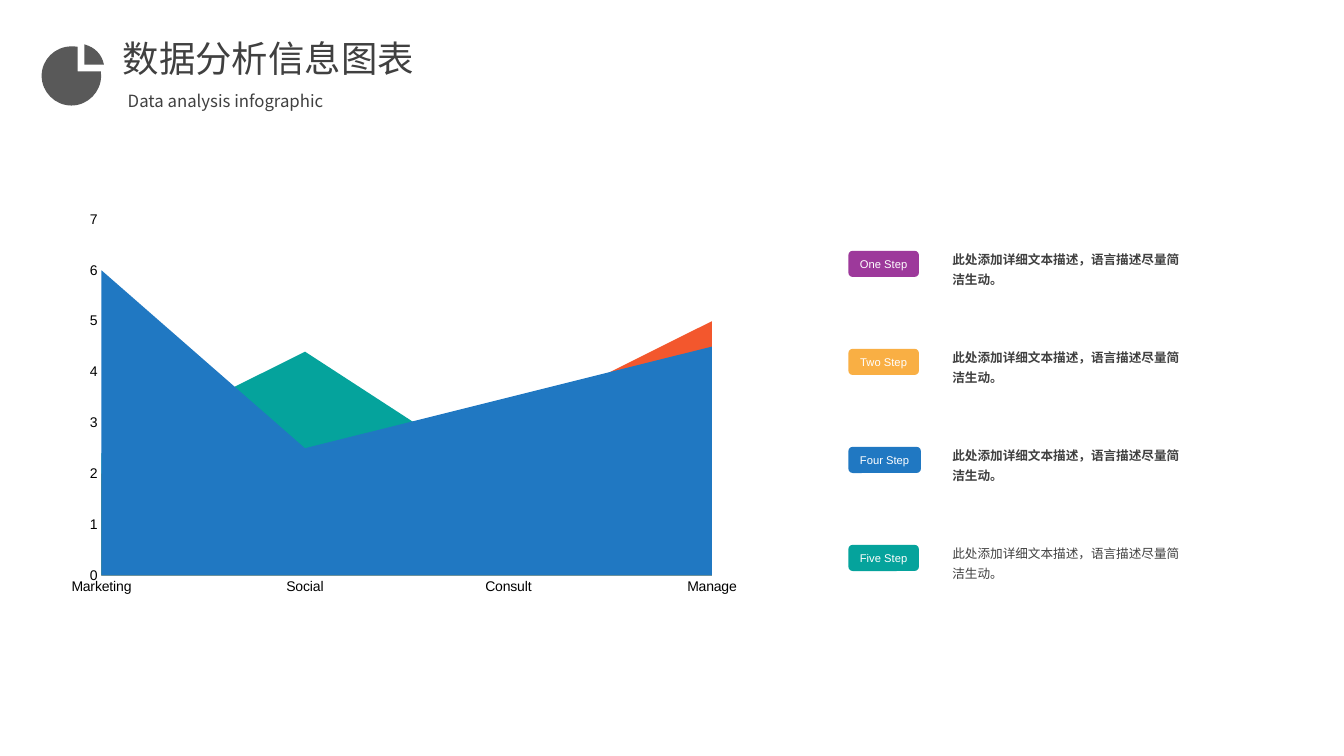
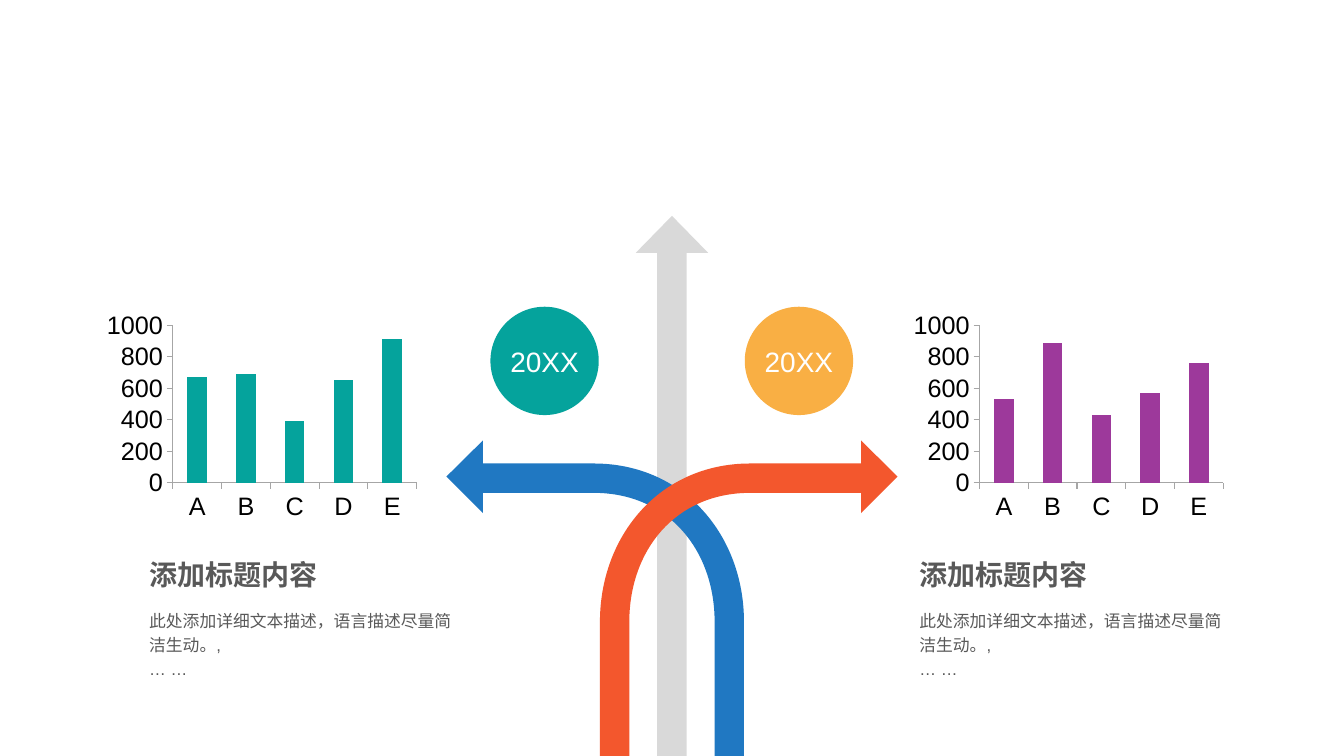
from lxml import etree
from pptx import Presentation
from pptx.chart.data import CategoryChartData
from pptx.dml.color import RGBColor
from pptx.enum.chart import XL_CHART_TYPE as ChartType, XL_TICK_MARK as Tick
from pptx.enum.shapes import MSO_SHAPE as Shape
from pptx.enum.text import MSO_ANCHOR as Anchor, MSO_AUTO_SIZE as AutoSize, PP_ALIGN as Align
from pptx.oxml.ns import qn
from pptx.util import Cm, Pt

WIDTH, HEIGHT = 33.87, 19.05
SANS, CJK = "Arial", "Noto Sans CJK SC"
COLORS = {
    "purple": "9D399B", "amber": "F9AF44", "blue": "2078C2", "teal": "05A39C",
    "orange": "F3572D", "ink": "404040", "gray": "595959", "pale": "D9D9D9",
    "axis": "A6A6A6", "black": "000000", "white": "FFFFFF",
}
DESCRIPTION = "此处添加详细文本描述，语言描述尽量简洁生动。"


def rgb(name):
    return RGBColor.from_string(COLORS[name])


def write(shape, text, size, color="ink", font=SANS, bold=False, align=Align.LEFT,
          anchor=Anchor.TOP, spacing=None, wrap=True, side_inset=0.25):
    """Fill a shape with text, one paragraph per line."""
    frame = shape.text_frame
    frame.word_wrap = wrap
    frame.auto_size = AutoSize.NONE
    frame.vertical_anchor = anchor
    frame.margin_left = frame.margin_right = Cm(side_inset)
    frame.margin_top = frame.margin_bottom = Cm(0.13)
    for index, line in enumerate(text.split("\n")):
        para = frame.add_paragraph() if index else frame.paragraphs[0]
        para.alignment = align
        para.line_spacing = spacing
        span = para.add_run()
        span.text = line
        span.font.size = Pt(size)
        span.font.bold = bold
        span.font.color.rgb = rgb(color)
        span.font.name = font
        east_asian = etree.SubElement(span.font._element, qn("a:ea"))
        east_asian.set("typeface", font)


def add_text(page, box, text, size, **style):
    write(page.shapes.add_textbox(*map(Cm, box)), text, size, **style)


def paint(shape, color):
    shape.shadow.inherit = False
    shape.fill.solid()
    shape.fill.fore_color.rgb = rgb(color)
    shape.line.fill.background()


def add_badge(page, kind, box, color, text, size, **style):
    badge = page.shapes.add_shape(kind, *map(Cm, box))
    paint(badge, color)
    write(badge, text, size, color="white", align=Align.CENTER,
          anchor=Anchor.MIDDLE, wrap=False, **style)


def add_outline(page, color, *contours):
    """Draw closed contours of steps; a step is one point or the three points of a curve."""
    builder = None
    for (start,), *steps in contours:
        origin = tuple(map(Cm, start))
        if builder is None:
            builder = page.shapes.build_freeform(*origin)
        else:
            builder.move_to(*origin)
        builder.add_line_segments([tuple(map(Cm, point)) for step in steps for point in step])
    shape = builder.convert_to_shape()
    bend_curves(shape, contours)
    paint(shape, color)


def bend_curves(shape, contours):
    """Turn each run of three lines that stands for a curve into that curve."""
    route = next(shape._element.iter(qn("a:path")))
    lines = iter(route.findall(qn("a:lnTo")))
    for _, *steps in contours:
        for step in steps:
            group = [next(lines) for _ in step]
            last = group[-1]
            if len(group) == 3:
                curve = etree.Element(qn("a:cubicBezTo"))
                last.addprevious(curve)
                for line in group:
                    curve.append(line[0])
                    route.remove(line)
                last = curve
        last.addnext(etree.Element(qn("a:close")))


def lines_to(*points):
    return [(point,) for point in points]


def add_chart(page, kind, box, categories, series, size, top, unit):
    """Add a plain chart; series is a list of (color, values)."""
    data = CategoryChartData()
    data.categories = categories
    for number, (_, values) in enumerate(series, 1):
        data.add_series(f"Series {number}", values)
    chart = page.shapes.add_chart(kind, *map(Cm, box), data).chart
    chart.has_legend = chart.has_title = False
    chart.font.size = Pt(size)
    chart.font.name = SANS
    chart.font.color.rgb = rgb("black")
    for drawn, (color, _) in zip(chart.plots[0].series, series):
        drawn.format.fill.solid()
        drawn.format.fill.fore_color.rgb = rgb(color)
    chart.plots[0].vary_by_categories = False
    values_axis = chart.value_axis
    values_axis.minimum_scale, values_axis.maximum_scale = 0, top
    values_axis.major_unit = unit
    for axis in (chart.category_axis, values_axis):
        axis.has_major_gridlines = False
        axis.minor_tick_mark = Tick.NONE
    return chart


def style_axis(axis, tick, color=None):
    axis.major_tick_mark = tick
    if color:
        axis.format.line.color.rgb = rgb(color)
        axis.format.line.width = Pt(0.75)
    else:
        axis.format.line.fill.background()


def place_plot(chart, **fractions):
    """Fix the inner plot area as fractions of the chart."""
    area = chart._chartSpace.chart.plotArea
    for old in area.findall(qn("c:layout")):
        area.remove(old)
    layout = etree.Element(qn("c:layout"))
    area.insert(0, layout)
    manual = etree.SubElement(layout, qn("c:manualLayout"))
    settings = {"layoutTarget": "inner", "xMode": "edge", "yMode": "edge", **fractions}
    for name, value in settings.items():
        etree.SubElement(manual, qn(f"c:{name}")).set("val", str(value))


def add_header(page, title, subtitle):
    pie = lines_to((1.96, 1.18), (1.96, 1.8), (2.54, 1.8)) + [
        ((2.55, 1.84), (2.55, 1.87), (2.55, 1.91)),
        ((2.55, 2.32), (2.21, 2.66), (1.8, 2.66)),
        ((1.39, 2.66), (1.05, 2.32), (1.05, 1.91)),
        ((1.05, 1.5), (1.39, 1.17), (1.8, 1.17)),
        ((1.85, 1.17), (1.91, 1.17), (1.96, 1.18)),
    ]
    wedge = lines_to((2.13, 1.12)) + [((2.39, 1.19), (2.57, 1.37), (2.62, 1.63))]
    add_outline(page, "gray", pie, wedge + lines_to((2.13, 1.63)))
    heading = page.shapes.title
    heading.left, heading.top, heading.width, heading.height = map(Cm, (2.84, 0.77, 7.92, 1.37))
    write(heading, title, 26, font=CJK, anchor=Anchor.MIDDLE)
    add_text(page, (2.97, 2.16, 5.64, 0.76), subtitle, 12, font=CJK, anchor=Anchor.MIDDLE)


def add_area_page(deck):
    page = deck.slides.add_slide(deck.slide_layouts[5])
    add_header(page, "数据分析信息图表", "Data analysis infographic")
    chart = add_chart(
        page, ChartType.AREA, (1.52, 4.57, 17.29, 10.68),
        ["Marketing", "Social", "Consult", "Manage"],
        [("blue", (6, 2.5, 3.5, 4.5)), ("teal", (2.4, 4.4, 1.8, 2.8)),
         ("orange", (2, 2, 3, 5)), ("amber", (2, 3, 2, 1))],
        size=10, top=7, unit=1)
    style_axis(chart.category_axis, Tick.NONE, "pale")
    style_axis(chart.value_axis, Tick.NONE)
    place_plot(chart, x=0.06, y=0.09, w=0.89, h=0.84)

    steps = [("One Step", "purple", 1.78, True), ("Two Step", "amber", 1.78, True),
             ("Four Step", "blue", 1.83, True), ("Five Step", "teal", 1.78, False)]
    for row, (label, color, width, bold) in enumerate(steps):
        top = 6.1 + 2.47 * row
        add_badge(page, Shape.ROUNDED_RECTANGLE, (21.38, top + 0.22, width, 0.66),
                  color, label, 8)
        add_text(page, (23.75, top, 6.3, 1.22), DESCRIPTION, 9, bold=bold, spacing=1.3)


def add_arrows(page):
    middle = WIDTH / 2
    half_shaft, half_head, neck = 0.37, 0.91, 6.37
    right_side = [(half_shaft, HEIGHT), (half_shaft, neck), (half_head, neck)]
    left_side = [(-x, y) for x, y in reversed(right_side)]
    upward = [(middle + x, y) for x, y in right_side + [(0, 5.44)] + left_side]
    add_outline(page, "pale", lines_to(*upward))

    leftward = [
        *lines_to((14.96, 11.68), (12.17, 11.68), (12.17, 11.1), (11.25, 12.01),
                  (12.17, 12.93), (12.17, 12.42), (14.96, 12.42)),
        ((16.87, 12.42), (18.01, 13.89), (18.01, 15.67)),
        *lines_to((18.01, HEIGHT), (18.75, HEIGHT), (18.75, 15.67)),
        ((18.75, 13.51), (17.25, 11.68), (14.96, 11.68)),
    ]
    rightward = [tuple((WIDTH - x, y) for x, y in step) for step in leftward]
    add_outline(page, "blue", leftward)
    add_outline(page, "orange", rightward)


def add_year_panel(page, chart_left, text_left, bar_color, values, circle_left, circle_color):
    add_badge(page, Shape.OVAL, (circle_left, 7.73, 2.73, 2.73), circle_color,
              "20XX", 20, side_inset=0)
    chart = add_chart(page, ChartType.COLUMN_STACKED, (chart_left, 7.73, 8.13, 5.51),
                      list("ABCDE"), [(bar_color, values)], size=18, top=1000, unit=200)
    chart.plots[0].gap_width = 150
    chart.plots[0].overlap = 100
    for axis in (chart.category_axis, chart.value_axis):
        style_axis(axis, Tick.OUTSIDE, "axis")
    add_text(page, (text_left, 15.16, 8.16, 2.31), DESCRIPTION + ",\n… …", 12,
             color="gray", spacing=1.2)
    add_text(page, (text_left, 13.77, 8.16, 1.4), "添加标题内容", 20, color="gray",
             bold=True, anchor=Anchor.MIDDLE)


def add_arrow_page(deck):
    page = deck.slides.add_slide(deck.slide_layouts[6])
    add_arrows(page)
    add_year_panel(page, 2.53, 3.51, "teal", (670, 690, 390, 650, 910), 12.36, "teal")
    add_year_panel(page, 22.86, 22.92, "purple", (530, 890, 430, 570, 760), 18.77, "amber")


def main():
    deck = Presentation()
    deck.slide_width, deck.slide_height = Cm(WIDTH), Cm(HEIGHT)
    add_area_page(deck)
    add_arrow_page(deck)
    deck.save("out.pptx")


if __name__ == "__main__":
    main()
